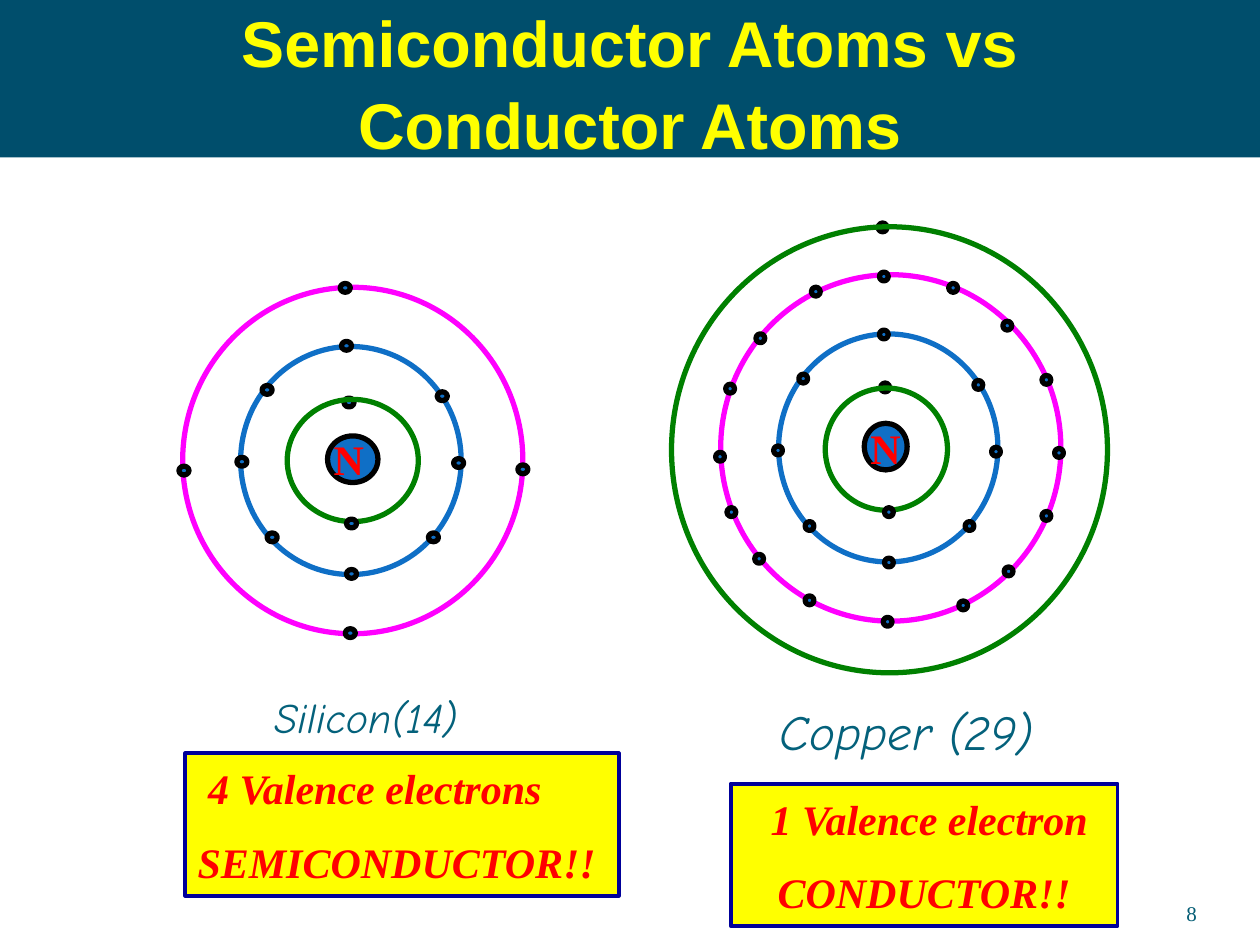
"""Build a slide comparing silicon and copper atoms by their valence electrons."""
from pptx import Presentation
from pptx.dml.color import RGBColor
from pptx.enum.shapes import MSO_SHAPE as Preset
from pptx.enum.text import MSO_ANCHOR as Anchor, PP_ALIGN as Align
from pptx.util import Inches, Pt

COLORS = {
    "band": "004E6C", "title": "FFFF00", "blue": "0F6FC6", "green": "008000",
    "magenta": "FF00FF", "black": "000000", "red": "FF0000", "label": "04617B",
    "note": "FFFF00", "note_edge": "000099", "number": "045D75",
}
SERIF, SANS, HAND = "Times New Roman", "Arial", "Comic Neue"


def add_figure(preset, box, fill=None, edge=None, weight=3):
    figure = slide.shapes.add_shape(preset, *map(Inches, box))
    figure.shadow.inherit = False
    if fill:
        figure.fill.solid()
        figure.fill.fore_color.rgb = RGBColor.from_string(COLORS[fill])
    else:
        figure.fill.background()
    if edge:
        figure.line.color.rgb = RGBColor.from_string(COLORS[edge])
        figure.line.width = Pt(weight)
    else:
        figure.line.fill.background()
    return figure


def write(holder, lines, size, face, color, bold=False, italic=False,
          align=Align.LEFT, anchor=Anchor.MIDDLE, gap=0):
    frame = holder.text_frame
    frame.word_wrap = True
    frame.vertical_anchor = anchor
    frame.text = "\n".join(lines)
    for position, paragraph in enumerate(frame.paragraphs):
        paragraph.alignment = align
        if position and gap:
            paragraph.space_before = Pt(gap)
        for run in paragraph.runs:
            run.font.size, run.font.name = Pt(size), face
            run.font.bold, run.font.italic = bold, italic
            run.font.color.rgb = RGBColor.from_string(COLORS[color])
    return frame


deck = Presentation()
deck.slide_width, deck.slide_height = Inches(10), Inches(7.5)
slide = deck.slides.add_slide(deck.slide_layouts[6])

copper = {
    "electron_width": 0.07,
    "electrons_behind": [(6.99, 3.04), (6.97, 1.77)],
    "shells": [
        ((6.55, 3.08, 0.97, 0.97), "green"),
        ((6.18, 2.65, 1.74, 1.81), "blue"),
        ((5.72, 2.18, 2.7, 2.75), "magenta"),
        ((5.33, 1.8, 3.46, 3.54), "green"),
    ],
    "nucleus": (6.86, 3.36, 0.34, 0.37),
    "symbol": (6.81, 3.3, 0.42, 0.5),
    "electrons": [
        (7.02, 4.03),
        (6.98, 2.62), (7.73, 3.02), (7.87, 3.55), (7.66, 4.14),
        (7.02, 4.43), (6.39, 4.14), (6.14, 3.54), (6.34, 2.97),
        (6.98, 2.16), (7.53, 2.25), (7.96, 2.55), (8.27, 2.98), (8.37, 3.56),
        (8.27, 4.06), (7.97, 4.5), (7.61, 4.77), (7.01, 4.9), (6.39, 4.73),
        (5.99, 4.4), (5.77, 4.03), (5.68, 3.59), (5.76, 3.05), (6, 2.65),
        (6.44, 2.28),
    ],
    "label": ("Copper (29)", 28, (5.79, 5.52, 2.81, 0.57)),
}
silicon = {
    "electron_width": 0.08,
    "electrons_behind": [(2.73, 3.16)],
    "shells": [
        ((2.28, 3.17, 1.04, 0.97), "green"),
        ((1.91, 2.75, 1.75, 1.81), "blue"),
        ((1.45, 2.28, 2.7, 2.75), "magenta"),
    ],
    "nucleus": (2.6, 3.46, 0.4, 0.37),
    "symbol": (2.55, 3.39, 0.5, 0.5),
    "electrons": [
        (2.75, 4.12),
        (2.71, 2.71), (3.47, 3.11), (3.6, 3.64), (3.4, 4.23),
        (2.75, 4.52), (2.12, 4.23), (1.88, 3.63), (2.08, 3.06),
        (2.7, 2.25), (4.11, 3.69), (2.74, 4.99), (1.42, 3.7),
    ],
    "label": ("Silicon(14)", 24, (1.72, 5.44, 2.37, 0.5)),
}

for atom in (copper, silicon):
    electron_size = (atom["electron_width"], 0.07)
    for corner in atom["electrons_behind"]:
        add_figure(Preset.OVAL, corner + electron_size, "blue", "black")
    for box, color in atom["shells"]:
        add_figure(Preset.OVAL, box, edge=color)
    add_figure(Preset.OVAL, atom["nucleus"], "blue", "black")
    symbol = slide.shapes.add_textbox(*map(Inches, atom["symbol"]))
    write(symbol, ["N"], 24, SERIF, "red", bold=True)
    for corner in atom["electrons"]:
        add_figure(Preset.OVAL, corner + electron_size, "blue", "black")
    name, size, box = atom["label"]
    label = slide.shapes.add_textbox(*map(Inches, box))
    write(label, [name], size, HAND, "label", italic=True, align=Align.CENTER)

valence_notes = [
    ((1.47, 5.98, 3.44, 1.13), [" 4 Valence electrons", "SEMICONDUCTOR!!"], Align.LEFT),
    ((5.8, 6.22, 3.07, 1.13), [" 1 Valence electron", "CONDUCTOR!!"], Align.CENTER),
]
for box, lines, align in valence_notes:
    note = add_figure(Preset.RECTANGLE, box, "note", "note_edge", 2.25)
    write(note, lines, 24, SERIF, "red", bold=True, italic=True, align=align, gap=13)

page_number = slide.shapes.add_textbox(Inches(8.67), Inches(6.95), Inches(0.83), Inches(0.4))
number_frame = write(page_number, ["8"], 12, SERIF, "number",
                     align=Align.RIGHT, anchor=Anchor.BOTTOM)
number_frame.margin_left = number_frame.margin_right = 0
number_frame.margin_top = number_frame.margin_bottom = 0

title_band = add_figure(Preset.RECTANGLE, (0, 0, 10, 1.25), "band")
title_frame = write(title_band, ["Semiconductor Atoms vs", "Conductor Atoms"],
                    36.9, SANS, "title", bold=True, align=Align.CENTER)
title_frame.margin_top, title_frame.margin_bottom = Inches(0.03), 0
for paragraph in title_frame.paragraphs:
    paragraph.line_spacing = 1.05

deck.save("out.pptx")
